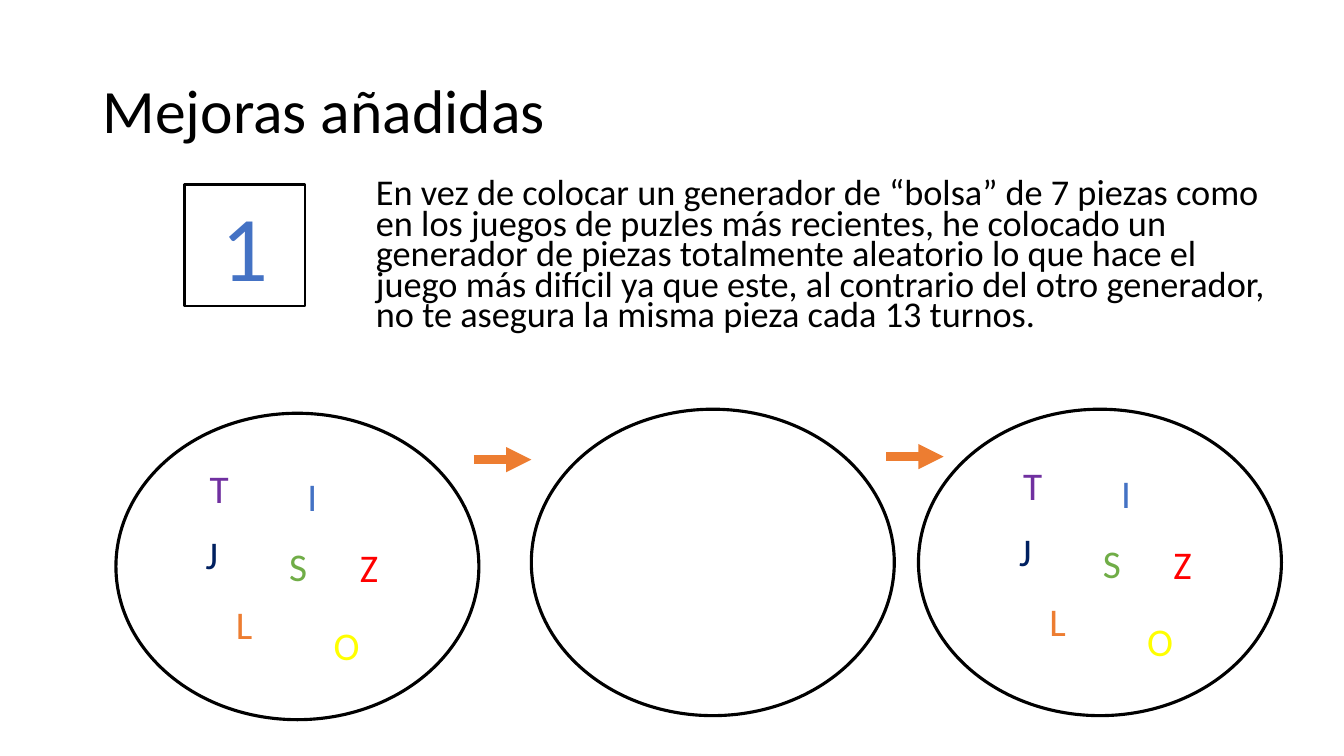
from dataclasses import dataclass

from lxml.etree import SubElement
from pptx import Presentation
from pptx.dml.color import RGBColor
from pptx.enum.shapes import MSO_CONNECTOR as Connector, MSO_SHAPE as Shape
from pptx.enum.text import MSO_ANCHOR as Anchor, MSO_AUTO_SIZE as AutoSize, PP_ALIGN as Align
from pptx.oxml.ns import qn
from pptx.util import Inches, Pt

COLORS = {
    "black": "000000", "purple": "7030A0", "blue": "4472C4", "navy": "002060",
    "orange": "ED7D31", "green": "70AD47", "red": "FF0000", "yellow": "FFFF00",
}
FONT = "Calibri"
BAG_SIZE = (3.6, 3.04)
LETTER_SIZE = (0.52, 0.57)
ARROW_LENGTH = 0.57


@dataclass(frozen=True)
class Piece:
    """A letter, placed relative to the corner of its group."""
    letter: str
    x: float
    y: float
    color: str


PIECES = [
    Piece("T", 0.04, 0, "purple"),
    Piece("I", 1.01, 0.08, "blue"),
    Piece("J", 0, 0.65, "navy"),
    Piece("L", 0.3, 1.35, "orange"),
    Piece("S", 0.83, 0.77, "green"),
    Piece("Z", 1.53, 0.78, "red"),
    Piece("O", 1.27, 1.55, "yellow"),
]
BAGS = [(1.15, 4.1), (5.27, 4.06), (9.11, 4.06)]
PIECE_GROUPS = [(1.94, 4.56), (10.01, 4.53)]
ARROWS = [(4.7, 4.56), (8.79, 4.53)]

TITLE = "Mejoras añadidas"
BODY = (
    "En vez de colocar un generador de “bolsa” de 7 piezas como en los juegos de "
    "puzles más recientes, he colocado un generador de piezas totalmente aleatorio "
    "lo que hace el juego más difícil ya que este, al contrario del otro generador, "
    "no te asegura la misma pieza cada 13 turnos."
)


def rgb(name: str) -> RGBColor:
    return RGBColor.from_string(COLORS[name])


def write(s, text: str, *, size: float, color: str = "black", align=Align.LEFT,
          anchor=Anchor.TOP, spacing: float = 1.0, before: float = 0,
          grow: bool = False) -> None:
    tf = s.text_frame
    tf.word_wrap = True
    tf.vertical_anchor = anchor
    tf.auto_size = AutoSize.SHAPE_TO_FIT_TEXT if grow else AutoSize.NONE
    p = tf.paragraphs[0]
    p.alignment = align
    p.line_spacing = spacing
    p.space_before = Pt(before)
    r = p.add_run()
    r.text = text
    r.font.name = FONT
    r.font.size = Pt(size)
    r.font.color.rgb = rgb(color)


def add_text(sp, text: str, x: float, y: float, w: float, h: float, **fmt) -> None:
    write(sp.add_textbox(Inches(x), Inches(y), Inches(w), Inches(h)), text, **fmt)


def add_outline(sp, kind, x: float, y: float, w: float, h: float, weight: float):
    """Add an unfilled black-edged shape."""
    s = sp.add_shape(kind, Inches(x), Inches(y), Inches(w), Inches(h))
    s.shadow.inherit = False
    s.fill.background()
    s.line.color.rgb = rgb("black")
    s.line.width = Pt(weight)
    return s


def add_arrow(sp, x: float, y: float) -> None:
    s = sp.add_connector(Connector.STRAIGHT, Inches(x), Inches(y),
                         Inches(x + ARROW_LENGTH), Inches(y))
    s.line.color.rgb = rgb("orange")
    s.line.width = Pt(6)
    SubElement(s.line._get_or_add_ln(), qn("a:tailEnd"), type="triangle")
    SubElement(s._element.spPr, qn("a:effectLst"))


def main() -> None:
    prs = Presentation()
    prs.slide_width, prs.slide_height = Inches(13.33), Inches(7.5)
    sp = prs.slides.add_slide(prs.slide_layouts[6]).shapes

    add_text(sp, TITLE, 0.92, 0.4, 11.5, 1.45, size=44, anchor=Anchor.MIDDLE, spacing=0.9)
    add_text(sp, BODY, 3.63, 1.75, 9.09, 1.81, size=25.9, spacing=0.7, before=10)

    number = add_outline(sp, Shape.RECTANGLE, 1.83, 1.83, 1.2, 1.21, weight=1.5)
    write(number, "1", size=66, color="blue", align=Align.CENTER, grow=True)

    for x, y in BAGS:
        add_outline(sp, Shape.OVAL, x, y, *BAG_SIZE, weight=2.25)
    for x, y in PIECE_GROUPS:
        for piece in PIECES:
            add_text(sp, piece.letter, x + piece.x, y + piece.y, *LETTER_SIZE,
                     size=28, color=piece.color, grow=True)
    for x, y in ARROWS:
        add_arrow(sp, x, y)

    prs.save("out.pptx")


if __name__ == "__main__":
    main()
